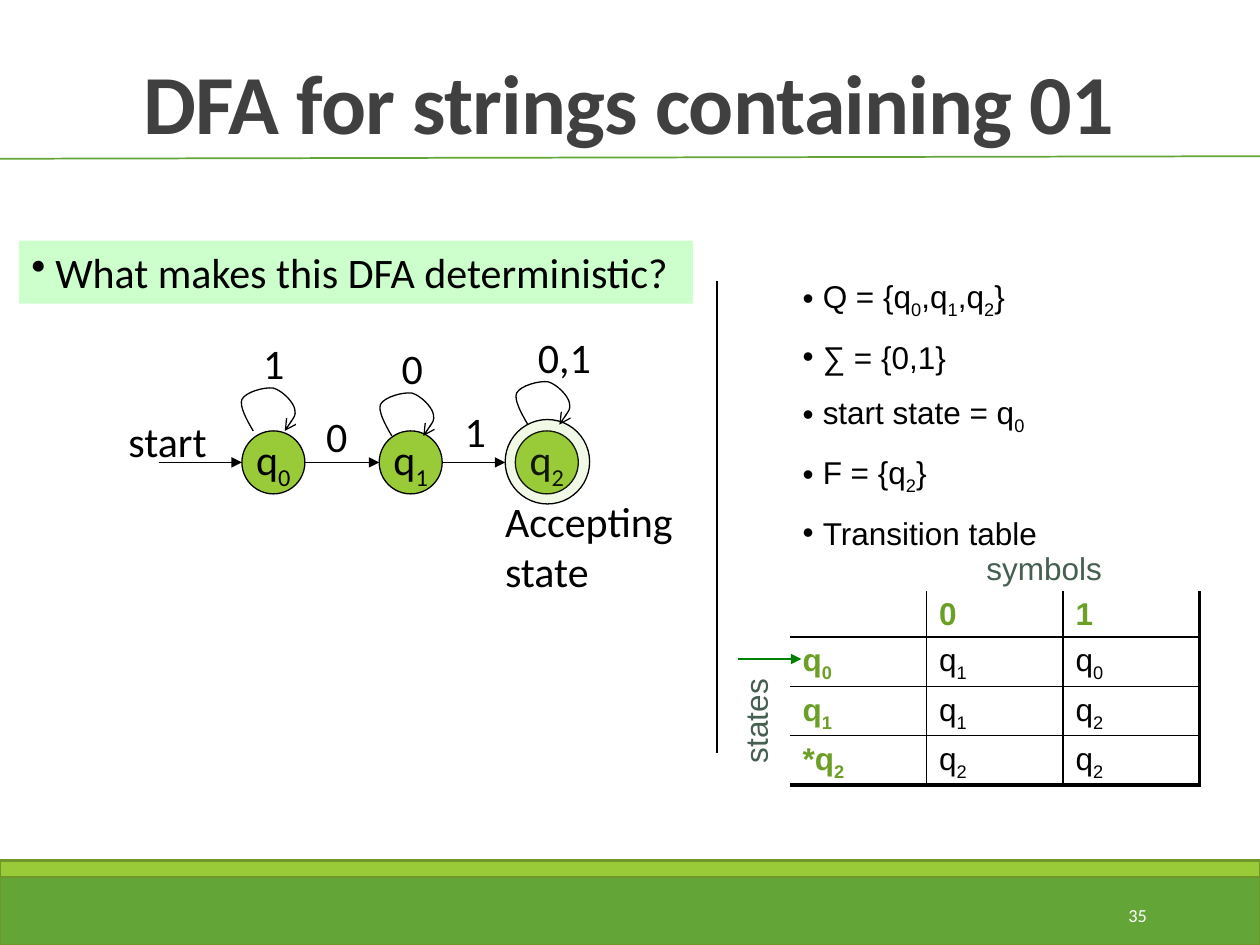
"""Build a slide that shows a DFA for strings containing 01."""
from dataclasses import dataclass

from pptx import Presentation
from pptx.dml.color import RGBColor
from pptx.enum.shapes import MSO_CONNECTOR, MSO_SHAPE
from pptx.enum.text import MSO_ANCHOR, MSO_AUTO_SIZE, PP_ALIGN
from pptx.oxml.ns import qn
from pptx.oxml.xmlchemy import OxmlElement
from pptx.util import Inches, Pt


@dataclass(frozen=True)
class Theme:
    sans: str = "Calibri"
    plain: str = "Arial"
    black: str = "000000"
    white: str = "FFFFFF"
    grey: str = "404040"
    green: str = "63A537"
    lime: str = "99CB38"
    olive: str = "719629"
    mint: str = "CCFFCC"
    leaf: str = "6B9F25"
    pine: str = "455F51"
    arrow: str = "008000"
    head: float = 48
    large: float = 24
    small: float = 18
    tiny: float = 10.5


def rgb(code):
    return RGBColor.from_string(code)


def node(root, tag, **attrs):
    item = OxmlElement(tag)
    for key, value in attrs.items():
        item.set(key, str(value))
    root.append(item)
    return item


class Deck:
    def __init__(self, theme):
        self.theme = theme
        self.show = Presentation()
        self.show.slide_width, self.show.slide_height = Inches(10), Inches(7.5)
        self.slide = self.show.slides.add_slide(self.show.slide_layouts[1])
        self.shapes = self.slide.shapes

    def fill_in(self, para, text, size, font=None, color=None, bold=False):
        first, *rest = text.split("_")
        parts = [(first, False)]
        for part in rest:
            parts += [(part[0], True), (part[1:], False)]
        runs = []
        for part, sub in parts:
            if not part:
                continue
            run = para.add_run()
            run.text = part
            run.font.size, run.font.bold = Pt(size), bold
            run.font.name = font or self.theme.sans
            run.font.color.rgb = rgb(color or self.theme.black)
            if sub:
                run.font._element.set("baseline", "-25000")
            runs.append(run)
        return runs

    def bullet(self, para, gap):
        props = para._p.get_or_add_pPr()
        props.set("marL", str(Inches(gap)))
        props.set("indent", str(-Inches(gap)))
        node(props, "a:buChar", char="•")

    def place(self, shape, box):
        shape.left, shape.top, shape.width, shape.height = map(Inches, box)

    def title(self, text, box):
        shape = self.shapes.title
        self.place(shape, box)
        frame = shape.text_frame
        frame.vertical_anchor = MSO_ANCHOR.BOTTOM
        para = frame.paragraphs[0]
        para.alignment, para.line_spacing = PP_ALIGN.CENTER, 0.85
        for run in self.fill_in(para, text, self.theme.head, color=self.theme.grey, bold=True):
            run.font._element.set("spc", "-50")

    def body(self, items, box):
        shape = self.slide.placeholders[1]
        self.place(shape, box)
        frame = shape.text_frame
        frame.auto_size = MSO_AUTO_SIZE.NONE
        for i, item in enumerate(items):
            para = frame.add_paragraph() if i else frame.paragraphs[0]
            self.bullet(para, 0.16)
            para.space_before = Pt(10 if i else 0)
            self.fill_in(para, item, self.theme.small, self.theme.plain)

    def label(self, lines, box, size=None, align=PP_ALIGN.LEFT, turn=0, **style):
        shape = self.shapes.add_textbox(*map(Inches, box))
        shape.rotation = turn
        frame = shape.text_frame
        frame.word_wrap = False
        for i, line in enumerate(lines.split("\n")):
            para = frame.add_paragraph() if i else frame.paragraphs[0]
            para.alignment = align
            self.fill_in(para, line, size or self.theme.large, **style)
        return frame

    def shape(self, kind, box, fill, line=None, width=0.75, alpha=None):
        shape = self.shapes.add_shape(kind, *map(Inches, box))
        shape.shadow.inherit = False
        shape.fill.solid()
        shape.fill.fore_color.rgb = rgb(fill)
        if alpha:
            tint = shape._element.spPr.find(qn("a:solidFill"))[0]
            node(tint, "a:alpha", val=alpha * 1000)
        if line:
            shape.line.color.rgb, shape.line.width = rgb(line), Pt(width)
        else:
            shape.line.fill.background()
        return shape

    def state(self, text, left):
        shape = self.shape(MSO_SHAPE.OVAL, (left, 3.42, 0.5, 0.5), self.theme.lime, self.theme.black)
        frame = shape.text_frame
        frame.word_wrap, frame.vertical_anchor = False, MSO_ANCHOR.MIDDLE
        frame.paragraphs[0].alignment = PP_ALIGN.CENTER
        self.fill_in(frame.paragraphs[0], text, self.theme.large)

    def banner(self, text, box):
        frame = self.shape(MSO_SHAPE.RECTANGLE, box, self.theme.mint).text_frame
        frame.vertical_anchor = MSO_ANCHOR.TOP
        para = frame.paragraphs[0]
        para.alignment = PP_ALIGN.LEFT
        self.bullet(para, 0.19)
        self.fill_in(para, text, self.theme.large)

    def line(self, start, end, color=None, width=0.75, tip=None):
        line = self.shapes.add_connector(MSO_CONNECTOR.STRAIGHT, *map(Inches, start + end))
        line.line.color.rgb, line.line.width = rgb(color or self.theme.black), Pt(width)
        props = line._element.spPr
        if tip:
            node(props.find(qn("a:ln")), "a:tailEnd", type=tip)
        node(props, "a:effectLst")

    def loop(self, left, top):
        spots = [(0.11, 0.35), (0.05, 0.25), (0, 0.15), (0.02, 0.1), (0.05, 0.04),
                 (0.2, 0), (0.27, 0.01), (0.34, 0.03), (0.43, 0.12), (0.44, 0.18),
                 (0.45, 0.23), (0.4, 0.29), (0.36, 0.35)]
        start, *rest = [(Inches(left + x), Inches(top + y)) for x, y in spots]
        draft = self.shapes.build_freeform(*start)
        draft.add_line_segments(rest, close=False)
        shape = draft.convert_to_shape()
        shape.shadow.inherit = False
        shape.fill.background()
        shape.line.color.rgb, shape.line.width = rgb(self.theme.black), Pt(0.75)
        node(shape._element.spPr.find(qn("a:ln")), "a:tailEnd", type="arrow")
        steps = shape._element.xpath(".//a:lnTo")
        for i in range(0, len(steps), 3):
            curve = OxmlElement("a:cubicBezTo")
            steps[i].addprevious(curve)
            for step in steps[i:i + 3]:
                curve.append(step[0])
                step.getparent().remove(step)

    def edge(self, cell, side, width):
        props = cell._tc.get_or_add_tcPr()
        line = node(props, "a:ln" + side, w=Pt(width))
        if width:
            node(node(line, "a:solidFill"), "a:srgbClr", val=self.theme.black)
        else:
            node(line, "a:noFill")

    def table(self, rows, box):
        high, wide = len(rows), len(rows[0])
        table = self.shapes.add_table(high, wide, *map(Inches, box)).table
        table.first_row = table.horz_banding = False
        for r, row in enumerate(rows):
            for c, text in enumerate(row):
                cell = table.cell(r, c)
                cell.margin_bottom = 0
                self.edge(cell, "L", 1 if c else 0)
                self.edge(cell, "R", 1 if c < wide - 1 else 2.25)
                self.edge(cell, "T", 1 if r else 0)
                self.edge(cell, "B", 1 if r < high - 1 else 2.25)
                cell.fill.background()
                key = r == 0 or c == 0
                self.fill_in(cell.text_frame.paragraphs[0], text, self.theme.small, self.theme.plain,
                             self.theme.leaf if key else self.theme.black, key)


def main():
    look = Theme()
    deck = Deck(look)
    for top, high, fill in ((6.92, 0.58, look.green), (6.83, 0.13, look.lime)):
        deck.shape(MSO_SHAPE.RECTANGLE, (0, top, 10, high), fill, look.olive, 1.25)
    deck.line((0, 1.26), (10, 1.24), look.green, 1)
    deck.title("DFA for strings containing 01", (0.49, 0.25, 9, 1))
    page = deck.label("35", (8.12, 7.06, 1.08, 0.4), look.tiny, PP_ALIGN.RIGHT, color=look.white)
    page.word_wrap, page.vertical_anchor = True, MSO_ANCHOR.MIDDLE

    for i, left in enumerate((1.92, 3.01, 4.09)):
        deck.state(f"q_{i}", left)
    deck.shape(MSO_SHAPE.OVAL, (4.01, 3.33, 0.67, 0.67), look.lime, look.black, alpha=12)
    for start, end in ((1.26, 1.92), (2.42, 3.01), (3.51, 4.01)):
        deck.line((start, 3.67), (end, 3.67), tip="triangle")
    for text, left, top in (("1", 1.9, 3.07), ("0", 3, 3.11), ("0,1", 4.08, 3.02)):
        deck.loop(left, top)
        deck.label(text, (left + 0.09, top - 0.44, 0.63 if "," in text else 0.37, 0.51))
    deck.label("start", (0.92, 3.25, 0.85, 0.5))
    deck.label("0", (2.49, 3.21, 0.37, 0.51))
    deck.label("1", (3.59, 3.17, 0.37, 0.51))
    deck.label("Accepting\nstate", (3.91, 3.88, 1.55, 0.91))
    deck.banner("What makes this DFA deterministic?", (0.15, 1.91, 5.35, 0.5))

    deck.line((5.69, 2.23), (5.69, 5.98))
    deck.body(["Q = {q_0,q_1,q_2}", "∑ = {0,1}", "start state = q_0", "F = {q_2}",
               "Transition table"], (6.27, 2.15, 3.5, 2.22))
    deck.table([["", "0", "1"], ["q_0", "q_1", "q_0"], ["q_1", "q_1", "q_2"],
                ["*q_2", "q_2", "q_2"]], (6.27, 4.69, 3.25, 1.46))
    side = dict(size=look.small, font=look.plain, color=look.pine)
    deck.label("states", (5.56, 5.52, 0.87, 0.4), turn=270, **side)
    deck.label("symbols", (7.73, 4.31, 1.12, 0.4), **side)
    deck.line((5.86, 5.23), (6.36, 5.23), look.arrow, tip="triangle")
    deck.show.save("out.pptx")


if __name__ == "__main__":
    main()
